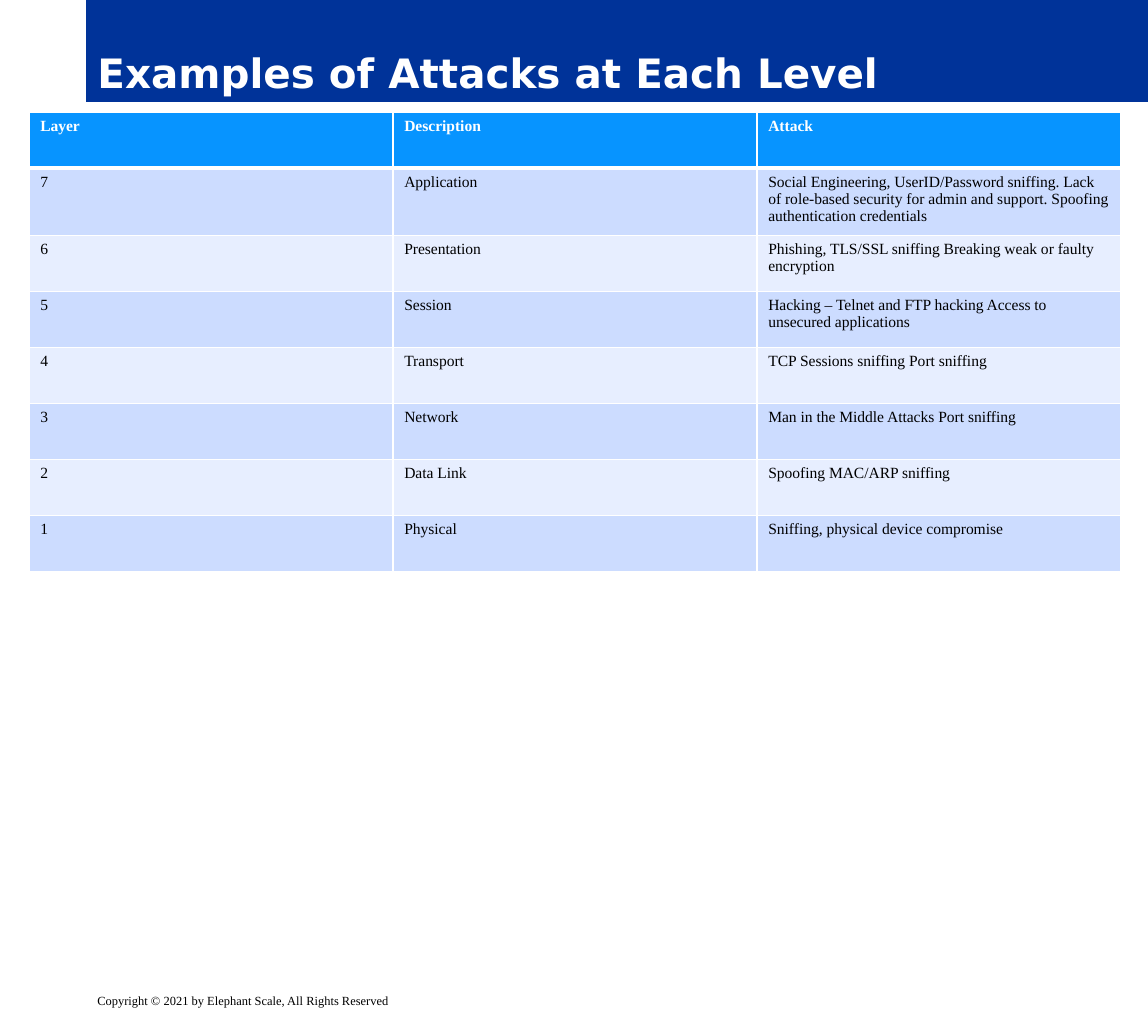
from lxml import etree
from pptx import Presentation
from pptx import util as u
from pptx.dml import color
from pptx.enum import text
from pptx.oxml import ns

HEADER = ("Layer", "Description", "Attack")
LAYERS = [
    ("7", "Application", "Social Engineering, UserID/Password sniffing. Lack of role-based "
     "security for admin and support. Spoofing authentication credentials"),
    ("6", "Presentation", "Phishing, TLS/SSL sniffing Breaking weak or faulty encryption"),
    ("5", "Session", "Hacking – Telnet and FTP hacking Access to unsecured applications"),
    ("4", "Transport", "TCP Sessions sniffing Port sniffing"),
    ("3", "Network", "Man in the Middle Attacks Port sniffing"),
    ("2", "Data Link", "Spoofing MAC/ARP sniffing"),
    ("1", "Physical", "Sniffing, physical device compromise"),
]


def paint(target, value):
    if hasattr(target, "solid"):
        target.solid()
        target = target.fore_color
    target.rgb = color.RGBColor.from_string(value)


class SlideBuilder:
    heading_font = "DejaVu Sans"
    body_font = "Times New Roman"
    white, black, navy = "FFFFFF", "000000", "003399"
    header_fill = "0794FF"
    bands = ("CCDCFF", "E7EEFF")

    def __init__(self, deck):
        self.slide = deck.slides.add_slide(deck.slide_layouts[5])

    def set_text(self, frame, words, size, tint, font=None, bold=False):
        frame.text = words
        para = frame.paragraphs[0]
        para.alignment = text.PP_ALIGN.LEFT
        for span in para.runs:
            span.font.name = font or self.body_font
            span.font.size = u.Pt(size)
            span.font.bold = bold
            paint(span.font.color, tint)

    def title(self, words, left, top, width, height):
        box = self.slide.shapes.title
        box.left, box.top = u.Inches(left), u.Inches(top)
        box.width, box.height = u.Inches(width), u.Inches(height)
        paint(box.fill, self.navy)
        frame = box.text_frame
        frame.auto_size = text.MSO_AUTO_SIZE.NONE
        frame.vertical_anchor = text.MSO_ANCHOR.BOTTOM
        self.set_text(frame, words, 26, self.white, self.heading_font, True)

    def label(self, words, left, top, width, height):
        box = self.slide.shapes.add_textbox(*map(u.Inches, (left, top, width, height)))
        box.text_frame.word_wrap = True
        self.set_text(box.text_frame, words, 8, self.black)

    def borders(self, cell, bottom, top):
        properties = cell._tc.get_or_add_tcPr()
        widths = {"a:lnL": 1, "a:lnR": 1, "a:lnT": top, "a:lnB": bottom}
        for index, (tag, width) in enumerate(widths.items()):
            line = etree.Element(ns.qn(tag), w=str(u.Pt(width)))
            fill = etree.SubElement(line, ns.qn("a:solidFill"))
            etree.SubElement(fill, ns.qn("a:srgbClr"), val=self.white)
            properties.insert(index, line)

    def table(self, rows, left, top, column_width, row_height):
        columns = len(rows[0])
        area = (left, top, column_width * columns, row_height * len(rows))
        grid = self.slide.shapes.add_table(len(rows), columns, *map(u.Inches, area)).table
        for row, values in enumerate(rows):
            header = row == 0
            for column, words in enumerate(values):
                cell = grid.cell(row, column)
                paint(cell.fill, self.header_fill if header else self.bands[(row - 1) % 2])
                self.borders(cell, bottom=3 if header else 1, top=3 if row == 1 else 1)
                self.set_text(cell.text_frame, words, 10,
                              self.white if header else self.black, bold=header)


def main():
    deck = Presentation()
    deck.slide_width, deck.slide_height = u.Inches(10.25), u.Inches(9.07)
    page = SlideBuilder(deck)
    page.title("Examples of Attacks at Each Level", 0.77, 0, 9.48, 0.91)
    page.label("Copyright © 2021 by Elephant Scale, All Rights Reserved", 0.77, 8.82, 9.48, 0.25)
    page.table([HEADER, *LAYERS], 0.26, 1, 3.25, 0.5)
    deck.save("out.pptx")


if __name__ == "__main__":
    main()
